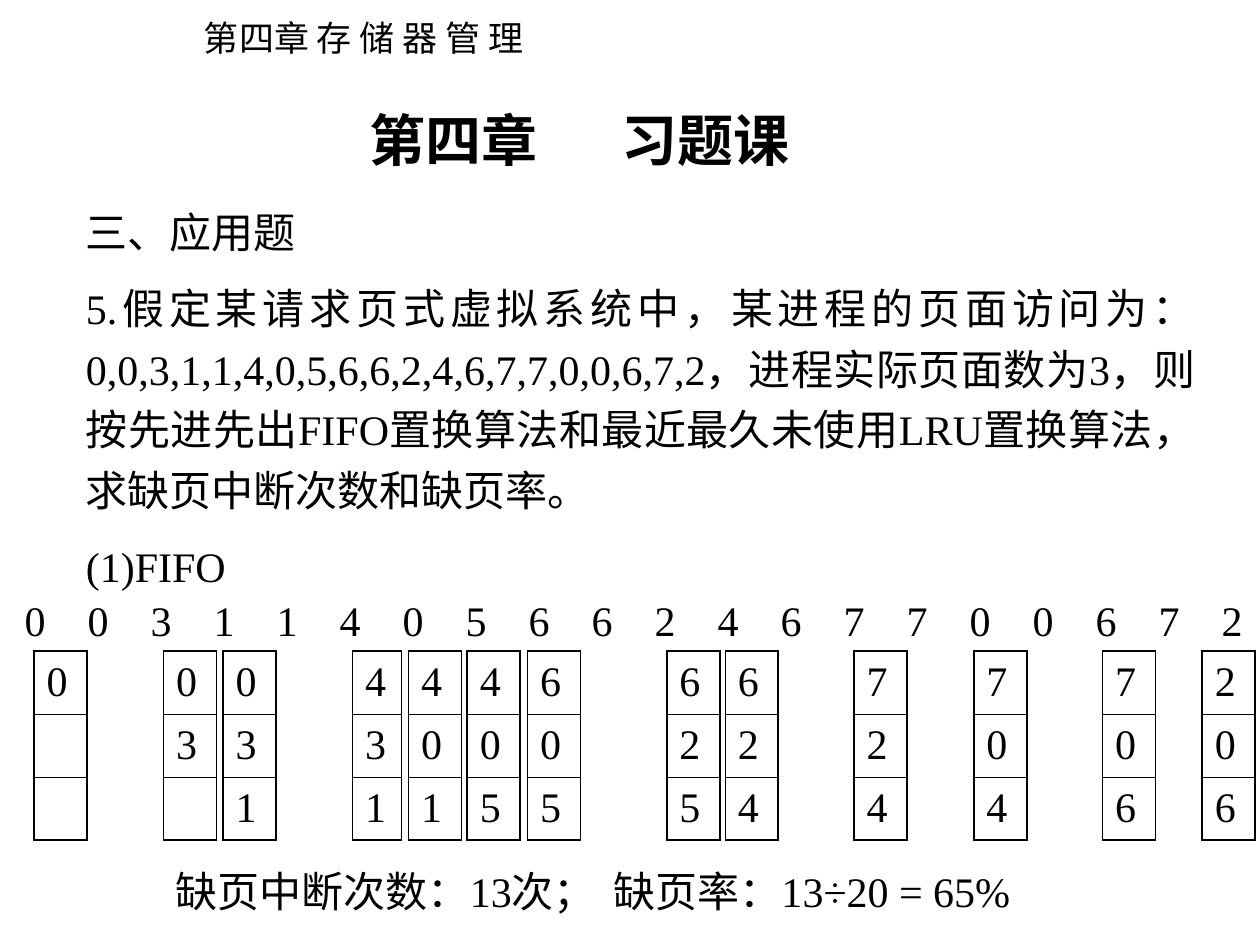
from lxml.etree import SubElement
from pptx import Presentation
from pptx.dml.color import RGBColor
from pptx.enum.text import MSO_ANCHOR, MSO_AUTO_SIZE, PP_ALIGN
from pptx.oxml.ns import qn
from pptx.util import Pt

COLORS = {"ink": "000000"}
LATIN, CJK = "Times New Roman", "Noto Sans CJK SC"
PAGES = [0, 0, 3, 1, 1, 4, 0, 5, 6, 6, 2, 4, 6, 7, 7, 0, 0, 6, 7, 2]
PAGE_PITCH = 36
OUTER, INNER = 1.08, 0.45
FRAME_WIDTH, FRAME_HEIGHT = 30.25, 36
# Left edge and the pages held in memory after each page fault
FAULTS = [
    (19.5, "0"), (93.5, "03"), (127.5, "031"), (201.5, "431"), (233.5, "401"),
    (267, "405"), (301.5, "605"), (381, "625"), (414.5, "624"), (488, "724"),
    (556.5, "704"), (630, "706"), (687, "206"),
]
NARROW_FAULT = "431"


def style(paragraph, size=24, bold=False, latin=LATIN, tabs=()):
    if tabs:
        tab_list = SubElement(paragraph._p.get_or_add_pPr(), qn("a:tabLst"))
        for stop in tabs:
            SubElement(tab_list, qn("a:tab"), pos=str(Pt(stop)), algn="l")
    font = paragraph.font
    font.size, font.bold, font.name = Pt(size), bold, latin
    font.color.rgb = RGBColor.from_string(COLORS["ink"])
    SubElement(font._element, qn("a:ea"), typeface=CJK)


def add_box(slide, left, top, width, height, wrap):
    box = slide.shapes.add_textbox(Pt(left), Pt(top), Pt(width), Pt(height))
    frame = box.text_frame
    frame.word_wrap = wrap
    frame.auto_size = MSO_AUTO_SIZE.SHAPE_TO_FIT_TEXT
    return frame


def add_line(slide, text, left, top, width, height, tabs=(), **font):
    """Set one line of text; a line with tab stops keeps its given width."""
    frame = add_box(slide, left, top, width, height, wrap=bool(tabs))
    paragraph = frame.paragraphs[0]
    paragraph.text = text
    style(paragraph, tabs=tabs, **font)


def add_exercise(slide, left, top, width, height):
    frame = add_box(slide, left, top, width, height, wrap=True)
    parts = [
        "三、应用题",
        "5.假定某请求页式虚拟系统中，某进程的页面访问为："
        "0,0,3,1,1,4,0,5,6,6,2,4,6,7,7,0,0,6,7,2，进程实际页面数为3，"
        "则按先进先出FIFO置换算法和最近最久未使用LRU置换算法，"
        "求缺页中断次数和缺页率。",
        "(1)FIFO",
    ]
    for index, text in enumerate(parts):
        paragraph = frame.add_paragraph() if index else frame.paragraphs[0]
        paragraph.text = text
        paragraph.alignment = PP_ALIGN.JUSTIFY
        paragraph.line_spacing = 1.2 if index else 1.3
        if index:
            paragraph.space_before = Pt(9)
        style(paragraph)


def set_borders(cell, **widths):
    properties = cell._tc.get_or_add_tcPr()
    for position, (side, width) in enumerate(widths.items()):
        line = properties.makeelement(qn(f"a:ln{side}"), {"w": str(Pt(width))})
        fill = SubElement(line, qn("a:solidFill"))
        SubElement(fill, qn("a:srgbClr"), val=COLORS["ink"])
        properties.insert(position, line)


def add_memory(slide, held, left, top, width, rows=3):
    """Stack the page frames of memory as a one-column table."""
    table = slide.shapes.add_table(
        rows, 1, Pt(left), Pt(top), Pt(width), Pt(rows * FRAME_HEIGHT)).table
    table.first_row = table.horz_banding = False
    for row, page in enumerate(held.ljust(rows)):
        cell = table.cell(row, 0)
        cell.vertical_anchor = MSO_ANCHOR.MIDDLE
        cell.fill.background()
        cell.text = page.strip()
        style(cell.text_frame.paragraphs[0])
        set_borders(cell, L=OUTER, R=OUTER,
                    T=INNER if row else OUTER,
                    B=INNER if row < rows - 1 else OUTER)


def add_fifo(slide, left, top, width):
    """Show the page references with the memory after each fault below them."""
    stops = [PAGE_PITCH * step for step in range(1, len(PAGES))]
    add_line(slide, "\t".join(map(str, PAGES)), left, top, width, 36, tabs=stops)
    for memory_left, held in FAULTS:
        memory_width = 28 if held == NARROW_FAULT else FRAME_WIDTH
        add_memory(slide, held, left + memory_left - 7, top + 36, memory_width)


def main():
    deck = Presentation()
    deck.slide_width, deck.slide_height = Pt(720), Pt(540)
    slide = deck.slides.add_slide(deck.slide_layouts[6])
    add_line(slide, "第四章 存 储 器 管 理", 109.5, 6, 201.5, 31.5, size=20, latin=CJK)
    add_line(slide, "第四章\t习题课", 204, 56.5, 260, 46, size=32, bold=True, tabs=[144])
    add_exercise(slide, 42, 106, 648, 235.5)
    add_fifo(slide, 7, 336, 713)
    add_line(slide, "缺页中断次数：13次；", 93.5, 491, 265.5, 36)
    add_line(slide, "缺页率：13÷20 = 65%", 343.5, 491, 247, 36)
    deck.save("out.pptx")


if __name__ == "__main__":
    main()
